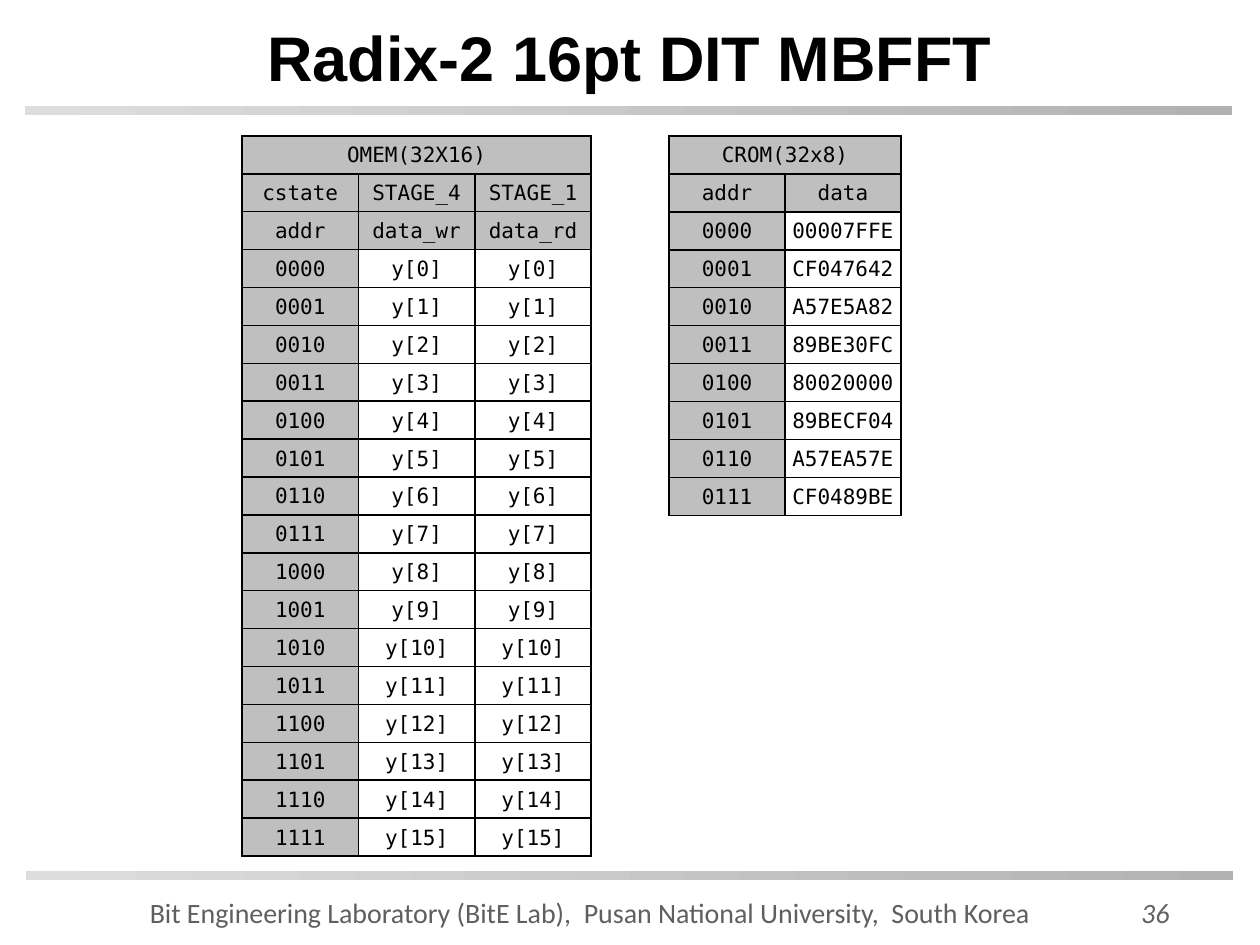
from lxml.etree import SubElement
from pptx import Presentation
from pptx.dml.color import RGBColor
from pptx.enum.shapes import MSO_SHAPE
from pptx.enum.text import MSO_ANCHOR, PP_ALIGN
from pptx.oxml.ns import qn
from pptx.util import Cm, Pt

COLORS = {
    "black": "000000",
    "white": "FFFFFF",
    "header": "BFBFBF",
    "bar_start": "DDDDDD",
    "bar_end": "B2B2B2",
    "footer": "5F5F5F",
    "page": "626262",
}
TWIDDLES = ["00007FFE", "CF047642", "A57E5A82", "89BE30FC",
            "80020000", "89BECF04", "A57EA57E", "CF0489BE"]
OMEM_ROWS = [
    ["OMEM(32X16)", "", ""],
    ["cstate", "STAGE_4", "STAGE_1"],
    ["addr", "data_wr", "data_rd"],
    *([f"{i:04b}", f"y[{i}]", f"y[{i}]"] for i in range(16)),
]
CROM_ROWS = [
    ["CROM(32x8)", ""],
    ["addr", "data"],
    *([f"{i:04b}", word] for i, word in enumerate(TWIDDLES)),
]


def rgb(name):
    return RGBColor.from_string(COLORS[name])


def write(frame, text, font, size, color, align, bold=False, italic=False):
    frame.word_wrap = True
    frame.vertical_anchor = MSO_ANCHOR.MIDDLE
    paragraph = frame.paragraphs[0]
    paragraph.text = text
    paragraph.alignment = align
    paragraph.font.name = font
    paragraph.font.size = Pt(size)
    paragraph.font.bold = bold
    paragraph.font.italic = italic
    paragraph.font.color.rgb = rgb(color)


def add_title(slide, box, text):
    title = slide.shapes.title
    title.left, title.top, title.width, title.height = map(Cm, box)
    write(title.text_frame, text, "Arial", 36, "black", PP_ALIGN.CENTER, bold=True)


def add_bar(slide, box):
    bar = slide.shapes.add_shape(MSO_SHAPE.RECTANGLE, *map(Cm, box))
    bar.shadow.inherit = False
    bar.line.fill.background()
    bar.fill.gradient()
    bar.fill.gradient_angle = 0
    for stop, name in zip(bar.fill.gradient_stops, ("bar_start", "bar_end")):
        stop.color.rgb = rgb(name)


def add_footer(slide, box):
    left, top, width, height = box
    page_width = 3.1
    lab = slide.shapes.add_textbox(Cm(left), Cm(top), Cm(width - page_width), Cm(height))
    write(lab.text_frame,
          "Bit Engineering Laboratory (BitE Lab),  Pusan National University,  South Korea",
          "Calibri", 16, "footer", PP_ALIGN.LEFT)
    page = slide.shapes.add_textbox(
        Cm(left + width - page_width), Cm(top), Cm(page_width), Cm(height))
    write(page.text_frame, "36", "Calibri", 16, "page", PP_ALIGN.CENTER, italic=True)


def add_borders(cell):
    properties = cell._tc.get_or_add_tcPr()
    for side in ("lnL", "lnR", "lnT", "lnB"):
        border = SubElement(properties, qn(f"a:{side}"), w=str(Pt(1)))
        SubElement(SubElement(border, qn("a:solidFill")), qn("a:srgbClr"), val=COLORS["black"])


def add_memory_table(slide, box, rows, header_rows):
    left, top, width, height = box
    table = slide.shapes.add_table(len(rows), len(rows[0]), *map(Cm, box)).table
    table.first_row = table.horz_banding = False
    for column in table.columns:
        column.width = Cm(width / len(rows[0]))
    for row in table.rows:
        row.height = Cm(height / len(rows))
    for r, words in enumerate(rows):
        for c, word in enumerate(words):
            cell = table.cell(r, c)
            add_borders(cell)
            cell.fill.solid()
            cell.fill.fore_color.rgb = rgb("header" if r < header_rows or c == 0 else "white")
            cell.margin_left = cell.margin_right = cell.margin_top = Cm(0.03)
            cell.margin_bottom = 0
            cell.vertical_anchor = MSO_ANCHOR.MIDDLE
            paragraph = cell.text_frame.paragraphs[0]
            paragraph.text = word
            paragraph.alignment = PP_ALIGN.CENTER
            paragraph.font.name = "DejaVu Sans Mono"
            paragraph.font.size = Pt(12)
            paragraph.font.color.rgb = rgb("black")
    table.cell(0, 0).merge(table.cell(0, len(rows[0]) - 1))


def main():
    deck = Presentation()
    deck.slide_width, deck.slide_height = Cm(25.4), Cm(19.05)
    slide = deck.slides.add_slide(deck.slide_layouts[5])
    add_bar(slide, (0.53, 17.55, 24.33, 0.2))
    add_bar(slide, (0.51, 2.13, 24.33, 0.2))
    add_footer(slide, (2.77, 17.9, 22.07, 0.97))
    add_title(slide, (0.84, 0.15, 23.7, 1.98), "Radix-2 16pt DIT MBFFT")
    add_memory_table(slide, (4.88, 2.74, 7.04, 14.53), OMEM_ROWS, header_rows=3)
    add_memory_table(slide, (13.49, 2.74, 4.67, 7.65), CROM_ROWS, header_rows=2)
    deck.save("out.pptx")


if __name__ == "__main__":
    main()
